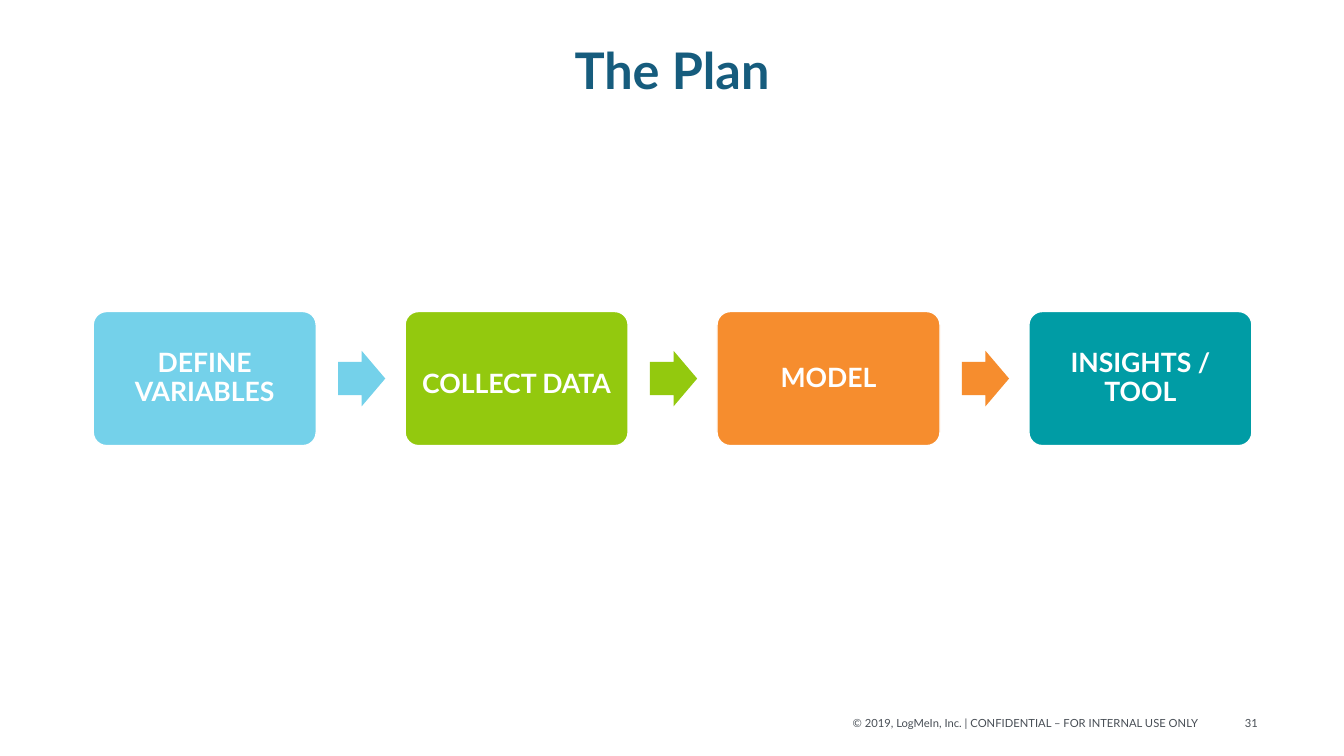
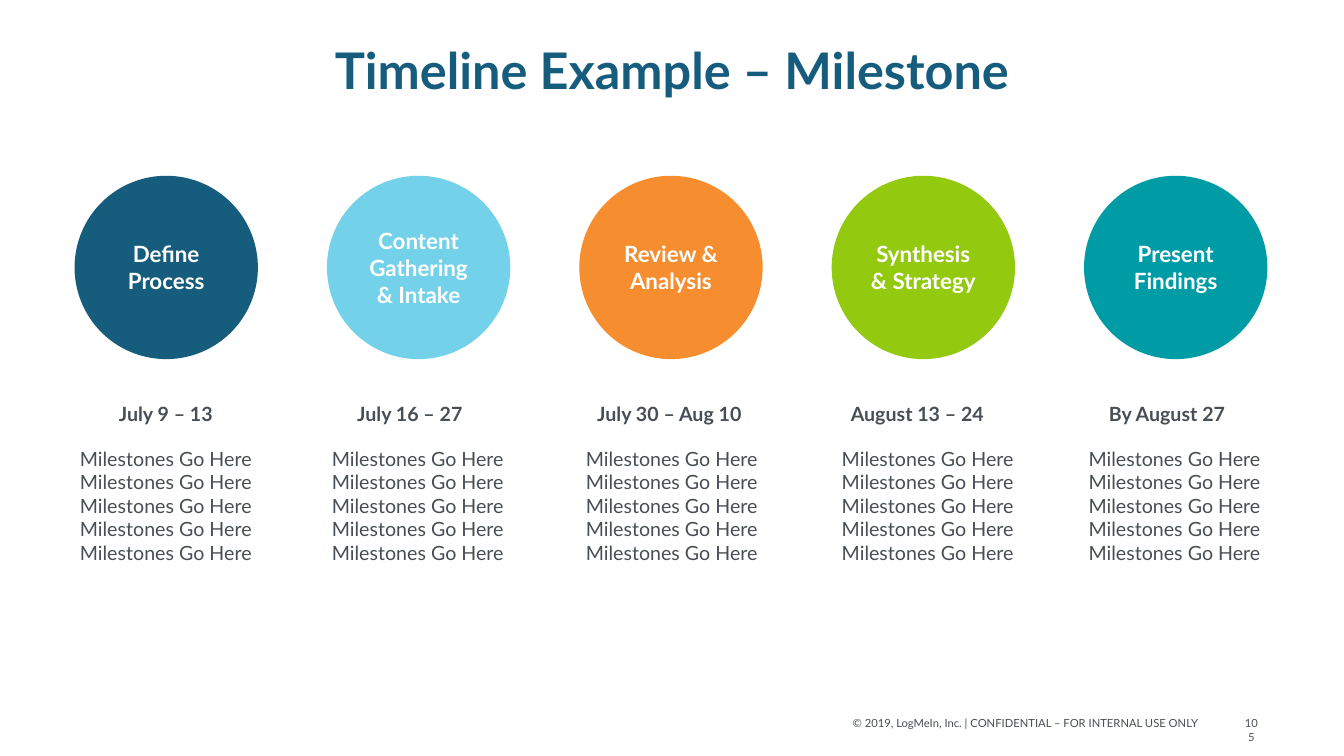
"""Build two process slides: a four-step plan and a five-stage milestone timeline."""
from pptx import Presentation
from pptx.dml.color import RGBColor
from pptx.enum.shapes import MSO_SHAPE
from pptx.enum.text import MSO_ANCHOR, MSO_AUTO_SIZE, PP_ALIGN
from pptx.util import Cm, Pt

COLORS = {
    "navy": "165C7D",
    "sky": "74D1EA",
    "green": "93C90E",
    "orange": "F68D2E",
    "teal": "009CA5",
    "gray": "484E55",
    "white": "FFFFFF",
}
FONT = "Lato"
COPYRIGHT = "© 2019, LogMeIn, Inc. | CONFIDENTIAL – FOR INTERNAL USE ONLY"


def write(shape, text, size, color="gray", bold=False, align=PP_ALIGN.CENTER,
          anchor=MSO_ANCHOR.TOP, spacing=1.0):
    frame = shape.text_frame
    frame.text = text
    frame.word_wrap = True
    frame.auto_size = MSO_AUTO_SIZE.NONE
    frame.vertical_anchor = anchor
    for paragraph in frame.paragraphs:
        paragraph.alignment = align
        paragraph.line_spacing = spacing
        paragraph.font.name = FONT
        paragraph.font.size = Pt(size)
        paragraph.font.bold = bold
        paragraph.font.color.rgb = RGBColor.from_string(COLORS[color])


def add_block(slide, preset, color, left, top, width, height):
    block = slide.shapes.add_shape(preset, Cm(left), Cm(top), Cm(width), Cm(height))
    block.shadow.inherit = False
    block.fill.solid()
    block.fill.fore_color.rgb = RGBColor.from_string(COLORS[color])
    block.line.fill.background()
    return block


deck = Presentation()
deck.slide_width, deck.slide_height = Cm(33.87), Cm(19.05)

slides = []
for heading, number in [("The Plan", "31"), ("Timeline Example – Milestone", "105")]:
    slide = deck.slides.add_slide(deck.slide_layouts[5])
    title = slide.shapes.title
    title.left, title.top, title.width, title.height = Cm(2.33), Cm(1.02), Cm(29.21), Cm(3.28)
    write(title, heading, 36, color="navy", bold=True, spacing=0.9)
    page_number = slide.shapes.add_textbox(Cm(31.11), Cm(17.93), Cm(0.85), Cm(0.61))
    write(page_number, number, 8)
    footer = slide.shapes.add_textbox(Cm(21.21), Cm(17.93), Cm(9.25), Cm(0.61))
    write(footer, COPYRIGHT, 8, align=PP_ALIGN.RIGHT)
    slides.append(slide)
plan, timeline = slides

STEPS = [
    ("DEFINE VARIABLES", "sky", 0),
    ("COLLECT DATA", "green", 0.3),
    ("MODEL", "orange", 0),
    ("INSIGHTS / TOOL", "teal", 0),
]
STEP_LEFT, STEP_PITCH = 2.35, 7.86
for index, (label, color, text_drop) in enumerate(STEPS):
    left = STEP_LEFT + index * STEP_PITCH
    step = add_block(plan, MSO_SHAPE.ROUNDED_RECTANGLE, color, left, 7.85, 5.62, 3.38)
    step.adjustments[0] = 0.1
    step.line.color.rgb = RGBColor.from_string(COLORS["white"])
    step.line.width = Pt(1)
    write(step, label, 19, color="white", bold=True, anchor=MSO_ANCHOR.MIDDLE, spacing=0.9)
    step.text_frame.margin_left = step.text_frame.margin_right = Cm(0.2)
    step.text_frame.margin_top = Cm(0.2 + text_drop)
    step.text_frame.margin_bottom = Cm(0.2)
    if index < len(STEPS) - 1:
        arrow = add_block(plan, MSO_SHAPE.RIGHT_ARROW, color, left + 6.17, 8.84, 1.19, 1.4)
        arrow.adjustments[0] = 0.6
        arrow.adjustments[1] = 0.5

STAGES = [
    ("Define Process", "navy", "July 9 – 13", 4.18, 4.18),
    ("Content Gathering & Intake", "sky", "July 16 – 27", 10.33, 10.53),
    ("Review & Analysis", "orange", "July 30 – Aug 10", 16.87, 16.93),
    ("Synthesis\n& Strategy", "green", "August 13 – 24", 23.12, 23.38),
    ("Present Findings", "teal", "By August 27", 29.41, 29.6),
]
STAGE_LEFT, STAGE_PITCH, DIAMETER = 1.88, 6.36, 4.62
COLUMN_WIDTH = 4.86
MILESTONES = "\n".join(["Milestones Go Here"] * 5)
for index, (label, color, period, date_center, list_center) in enumerate(STAGES):
    left = STAGE_LEFT + index * STAGE_PITCH
    stage = add_block(timeline, MSO_SHAPE.OVAL, color, left, 4.43, DIAMETER, DIAMETER)
    write(stage, label, 16, color="white", bold=True, anchor=MSO_ANCHOR.MIDDLE)
    for text, center, top, height, bold in [
        (period, date_center, 10.01, 0.86, True),
        (MILESTONES, list_center, 11.13, 3.25, False),
    ]:
        caption = timeline.shapes.add_textbox(
            Cm(center - COLUMN_WIDTH / 2), Cm(top), Cm(COLUMN_WIDTH), Cm(height))
        write(caption, text, 14, bold=bold)

deck.save("out.pptx")
